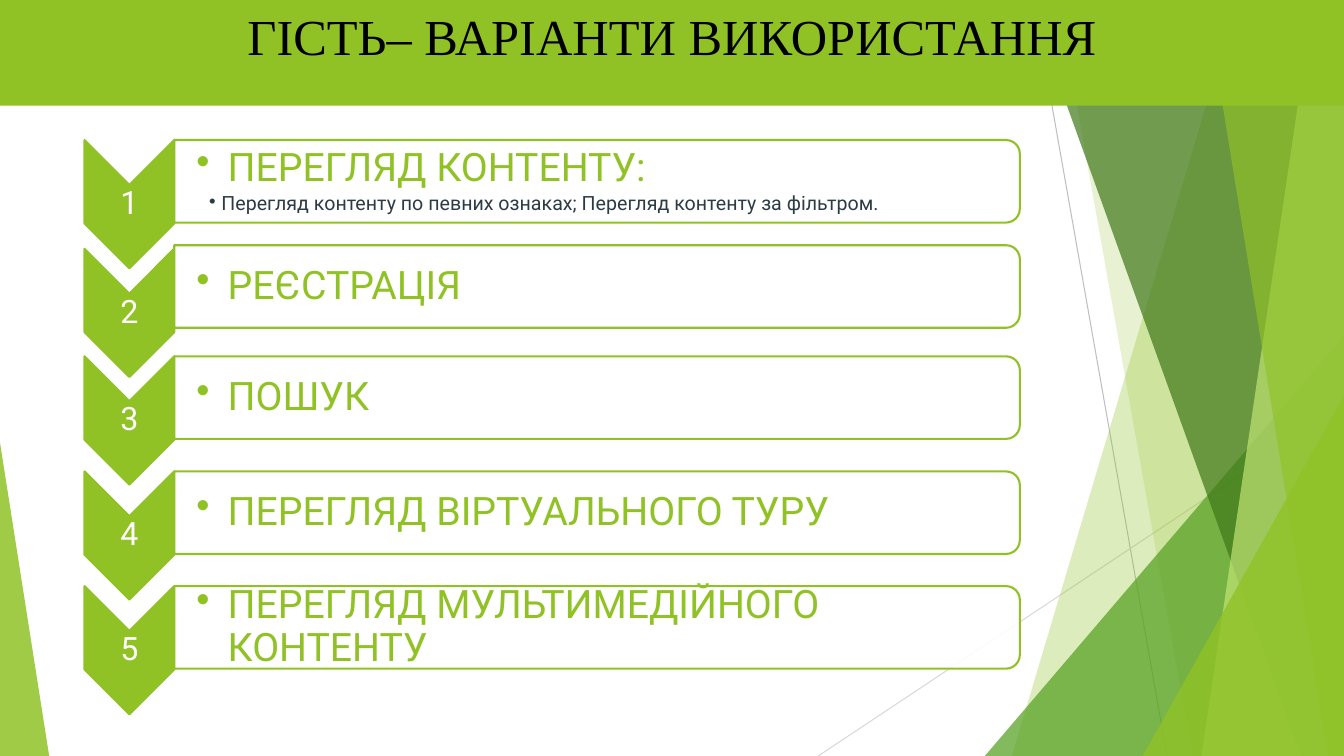
from lxml.etree import SubElement
from pptx import Presentation
from pptx.dml.color import RGBColor
from pptx.enum.shapes import MSO_CONNECTOR as LINK, MSO_SHAPE as SHAPE
from pptx.enum.text import MSO_ANCHOR as ANCHOR, MSO_AUTO_SIZE as FIT, PP_ALIGN as ALIGN
from pptx.oxml.ns import qn
from pptx.util import Cm, Pt

WIDE, HIGH = 33.87, 19.05
GREEN, WHITE, DARK = "90C226", "FFFFFF", "2C3C43"
TITLE = "ГІСТЬ– ВАРІАНТИ ВИКОРИСТАННЯ"
# Top of the arrow, top of the box, heading, detail
ROWS = [
    (3.53, 3.53, "ПЕРЕГЛЯД КОНТЕНТУ:",
     "Перегляд контенту по певних ознаках; Перегляд контенту за фільтром."),
    (6.27, 6.18, "РЕЄСТРАЦІЯ", ""),
    (8.98, 8.98, "ПОШУК", ""),
    (11.88, 11.88, "ПЕРЕГЛЯД ВІРТУАЛЬНОГО ТУРУ", ""),
    (14.77, 14.77, "ПЕРЕГЛЯД МУЛЬТИМЕДІЙНОГО КОНТЕНТУ", ""),
]
RAYS = [("BFBFBF", 26.04, 0, 29.41, HIGH), ("D9D9D9", WIDE, 10.24, 20.62, HIGH)]
# Bands reach the right edge: x at the top, x at the bottom
BANDS_BACK = [(31.19, 25.5, GREEN, 30), (26.67, 30.05, GREEN, 20)]
BANDS_FRONT = [(25.93, 32.79, "3F7819", 70), (33.1, 30.28, "C0E474", 70),
               (30.38, 33.48, GREEN, 65)]
# Wedges stand on the bottom edge: left, top, width, peak
WEDGE_BACK = (24.82, 8.46, 9.05, 1, "54A021", 72)
WEDGES_FRONT = [(28.8, 9.98, 5.07, 1, GREEN, 80), (0, 11.15, 1.24, 0, GREEN, 85)]


def color(code):
    return RGBColor.from_string(code)


def paint(shape, code, alpha=100, line=None):
    shape.shadow.inherit = False
    shape.fill.solid()
    shape.fill.fore_color.rgb = color(code)
    if alpha < 100:
        tint = shape._element.spPr.find(qn("a:solidFill"))[0]
        SubElement(tint, qn("a:alpha"), val=str(alpha * 1000))
    if line:
        shape.line.color.rgb = color(line)
        shape.line.width = Pt(1.5)
    else:
        shape.line.fill.background()


def add_ray(code, x1, y1, x2, y2):
    ray = shapes.add_connector(LINK.STRAIGHT, Cm(x1), Cm(y1), Cm(x2), Cm(y2))
    ray.line.color.rgb = color(code)
    ray.line.width = Pt(0.75)
    SubElement(ray._element.spPr, qn("a:effectLst"))


def add_band(top, bottom, code, alpha):
    pen = shapes.build_freeform(Cm(top), 0)
    ends = [(WIDE, 0), (WIDE, HIGH), (bottom, HIGH)]
    pen.add_line_segments([(Cm(x), Cm(y)) for x, y in ends])
    paint(pen.convert_to_shape(), code, alpha)


def add_wedge(left, top, width, peak, code, alpha):
    wedge = shapes.add_shape(SHAPE.ISOSCELES_TRIANGLE, Cm(left), Cm(top),
                             Cm(width), Cm(HIGH - top))
    wedge.adjustments[0] = peak
    paint(wedge, code, alpha)


def add_turned(kind, left, top, width, height, code, alpha=100):
    """Add a shape turned by 90 degrees that covers the given area."""
    shift = (width - height) / 2
    shape = shapes.add_shape(kind, Cm(left + shift), Cm(top - shift),
                             Cm(height), Cm(width))
    shape.rotation = 90
    paint(shape, code, alpha, GREEN)


def add_box(left, top, width, height, inset):
    frame = shapes.add_textbox(Cm(left), Cm(top), Cm(width), Cm(height)).text_frame
    frame.word_wrap = True
    frame.vertical_anchor = ANCHOR.MIDDLE
    frame.margin_left = Cm(inset)
    frame.margin_right = frame.margin_top = frame.margin_bottom = Cm(0.05)
    return frame


def write(para, text, size, code, font="Roboto"):
    run = para.add_run()
    run.text = text
    run.font.size = Pt(size)
    run.font.name = font
    run.font.color.rgb = color(code)
    para.line_spacing = 0.9


def bullet(para, margin, hang):
    props = para._p.get_or_add_pPr()
    props.set("marL", str(Cm(margin)))
    props.set("indent", str(-Cm(hang)))
    SubElement(props, qn("a:buChar"), char="•")


def add_row(number, arrow, top, head, detail):
    add_turned(SHAPE.CHEVRON, 2.13, arrow, 2.26, 3.23, GREEN)
    label = add_box(2.13, arrow + 1.13, 2.26, 0.97, 0.05).paragraphs[0]
    label.alignment = ALIGN.CENTER
    write(label, str(number), 23, WHITE)

    add_turned(SHAPE.ROUND_2_SAME_RECTANGLE, 4.39, top, 21.31, 2.08, WHITE, 90)
    frame = add_box(4.39, top + 0.1, 21.21, 1.88, 0.56)
    para = frame.paragraphs[0]
    write(para, head, 28, GREEN)
    bullet(para, 0.79, 0.79)
    if detail:
        para = frame.add_paragraph()
        para.space_before = Pt(3)
        write(para, detail, 14, DARK)
        bullet(para, 0.63, 0.31)


deck = Presentation()
deck.slide_width, deck.slide_height = Cm(WIDE), Cm(HIGH)
slide = deck.slides.add_slide(deck.slide_layouts[5])
shapes = slide.shapes

for ray in RAYS:
    add_ray(*ray)
for band in BANDS_BACK:
    add_band(*band)
add_wedge(*WEDGE_BACK)
for band in BANDS_FRONT:
    add_band(*band)
for wedge in WEDGES_FRONT:
    add_wedge(*wedge)

title = shapes.title
title.left, title.top, title.width, title.height = 0, 0, Cm(WIDE), Cm(2.66)
title.fill.solid()
title.fill.fore_color.rgb = color(GREEN)
title.text_frame.auto_size = FIT.NONE
title.text_frame.vertical_anchor = ANCHOR.TOP
para = title.text_frame.paragraphs[0]
para.alignment = ALIGN.CENTER
write(para, TITLE, 36, "000000", "Times New Roman")
para.line_spacing = 1.0
shapes._spTree.append(title._element)  # the bar lies over the bands

for number, row in enumerate(ROWS, 1):
    add_row(number, *row)

deck.save("out.pptx")
